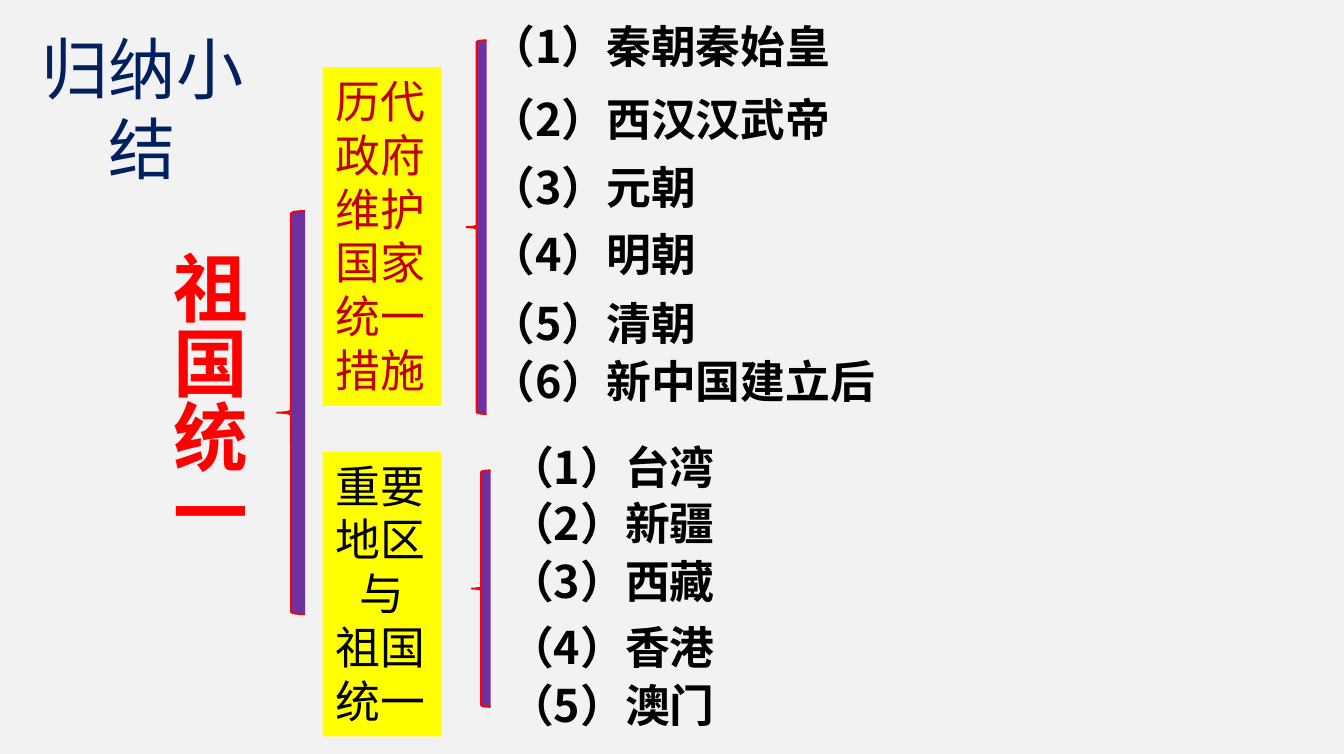
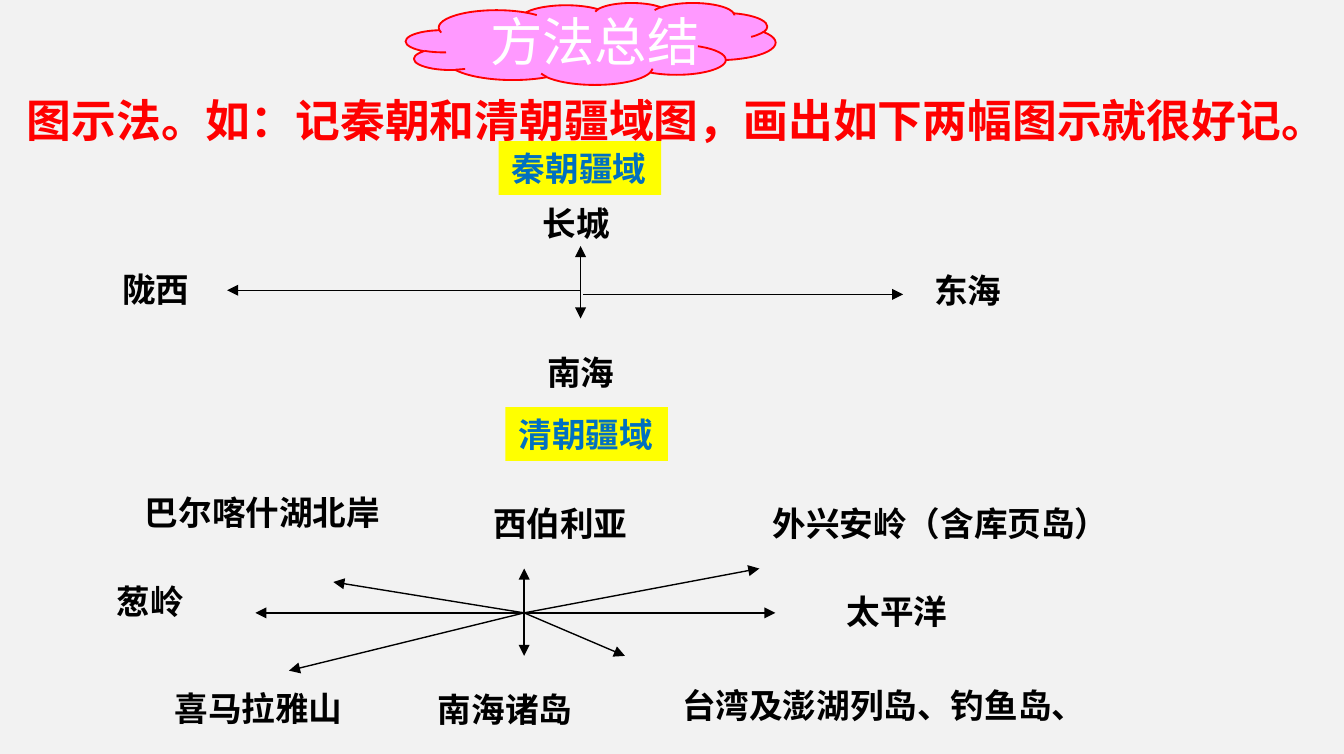
import pptx
import pptx.util
import pptx.dml.color
import pptx.enum.shapes
import pptx.enum.text
import lxml.etree
from pptx.util import Inches
from pptx.oxml.ns import qn

SHAPE = pptx.enum.shapes.MSO_SHAPE
ALIGN = pptx.enum.text.PP_ALIGN
FONT = "Noto Sans CJK SC"
TITLE_FONT = "Noto Sans CJK JP"
COLORS = {
    "background": "F2F2F2", "navy": "002060", "red": "FF0000", "dark_red": "C00000",
    "black": "000000", "white": "FFFFFF", "yellow": "FFFF00", "purple": "7030A0",
    "blue": "0070C0", "pink": "FF99FF",
}

TOPICS = [
    {"box": (2.4, 0.5, 0.88, 2.52), "color": "dark_red",
     "lines": ["历代", "政府", "维护", "国家", "统一", "措施"],
     "brace": (3.47, 0.3, 0.15, 2.78), "left": 3.55,
     "items": [("秦朝秦始皇", 0.09), ("西汉汉武帝", 0.63), ("元朝", 1.14),
               ("明朝", 1.64), ("清朝", 2.15), ("新中国建立后", 2.58)]},
    {"box": (2.4, 3.36, 0.88, 2.12), "color": "black",
     "lines": ["重要", "地区", "与", "祖国", "统一"],
     "brace": (3.51, 3.5, 0.14, 1.76), "left": 3.69,
     "items": [("台湾", 3.22), ("新疆", 3.64), ("西藏", 4.07),
               ("香港", 4.56), ("澳门", 4.99)]},
]
ROOT_BRACE = (2.06, 1.57, 0.21, 3)

METHOD = "图示法。如：记秦朝和清朝疆域图，画出如下两幅图示就很好记。"
TERRITORIES = [
    {"name": "秦朝疆域", "at": (3.71, 1.05), "inset": 0.05,
     "rays": [((4.34, 2.19), [(6.72, 2.19)]),
              ((4.32, 2.16), [(1.69, 2.16), (4.32, 1.83), (4.32, 2.37)])],
     "places": [("长城", 3.99, 1.46, 0.71), ("南海", 4.02, 2.57, 0.71),
                ("东海", 6.9, 1.96, 0.71), ("陇西", 0.86, 1.95, 0.71)]},
    {"name": "清朝疆域", "at": (3.76, 3.03), "inset": 0.1,
     "rays": [((3.9, 4.56), [(3.9, 4.23), (3.9, 4.88), (2.48, 4.33), (1.9, 4.56),
                             (2.15, 4.99), (5.77, 4.56), (5.65, 4.23), (4.65, 4.88)])],
     "places": [("巴尔喀什湖北岸", 0.98, 3.61, 1.97), ("西伯利亚", 3.57, 3.69, 1.21),
                ("外兴安岭（含库页岛）", 5.65, 3.69, 2.73), ("葱岭", 0.77, 4.27, 0.71),
                ("太平洋", 6.2, 4.35, 0.96), ("喜马拉雅山", 1.2, 5.07, 1.46),
                ("南海诸岛", 3.16, 5.08, 1.21), (" 台湾及澎湖列岛、钓鱼岛、", 4.92, 5.05, 3.3)]},
]


def rgb(name):
    return pptx.dml.color.RGBColor.from_string(COLORS[name])


def write(shape, text, size, color, bold=False, wrap=True, inset=0.1,
          font=FONT, align=ALIGN.LEFT):
    frame = shape.text_frame
    frame.text = text
    frame.word_wrap = wrap
    frame.auto_size = pptx.enum.text.MSO_AUTO_SIZE.NONE
    frame.vertical_anchor = pptx.enum.text.MSO_ANCHOR.TOP
    frame.margin_left = frame.margin_right = Inches(inset)
    frame.margin_top = frame.margin_bottom = Inches(0.05)
    for paragraph in frame.paragraphs:
        paragraph.alignment = align
        for run in paragraph.runs:
            run.font.size = pptx.util.Pt(size)
            run.font.bold = bold
            run.font.name = font
            run.font.color.rgb = rgb(color)
            east_asian = lxml.etree.Element(qn("a:ea"), typeface=font)
            run.font._element.find(qn("a:latin")).addnext(east_asian)
    return shape


def add_text(slide, box, text, size, color, **style):
    shape = slide.shapes.add_textbox(*map(Inches, box))
    return write(shape, text, size, color, **style)


def add_shape(slide, kind, box, fill, line=None):
    shape = slide.shapes.add_shape(kind, *map(Inches, box))
    shape.shadow.inherit = False
    shape.fill.solid()
    shape.fill.fore_color.rgb = rgb(fill)
    if line:
        shape.line.color.rgb = rgb(line)
        shape.line.width = pptx.util.Pt(1)
    else:
        shape.line.fill.background()
    return shape


def add_brace(slide, box):
    add_shape(slide, SHAPE.LEFT_BRACE, box, "purple", "red")


def add_arrow(slide, start, end):
    arrow = slide.shapes.add_connector(
        pptx.enum.shapes.MSO_CONNECTOR.STRAIGHT, *map(Inches, start + end))
    arrow.line.color.rgb = rgb("black")
    arrow.line.width = pptx.util.Pt(0.75)
    properties = arrow.element.spPr
    lxml.etree.SubElement(properties.find(qn("a:ln")), qn("a:tailEnd"), type="triangle")
    lxml.etree.SubElement(properties, qn("a:effectLst"))


def set_title(slide, box, text, size, color, **style):
    title = slide.shapes.title
    title.left, title.top, title.width, title.height = map(Inches, box)
    write(title, text, size, color, **style)
    title.element.getparent().append(title.element)


def add_slide(presentation):
    return presentation.slides.add_slide(presentation.slide_layouts[5])


def build_summary(presentation):
    slide = add_slide(presentation)
    set_title(slide, (0.06, 0.15, 2, 0.45), "归纳小结", 36, "navy",
              wrap=False, align=ALIGN.CENTER)
    root = add_text(slide, (1.06, 1.77, 0.87, 3.07), "祖国统一", 40, "red", bold=True)
    root.text_frame._txBody.bodyPr.set("vert", "eaVert")
    root.text_frame.paragraphs[0].space_before = pptx.util.Pt(20)
    add_brace(slide, ROOT_BRACE)
    for topic in TOPICS:
        label = add_shape(slide, SHAPE.RECTANGLE, topic["box"], "yellow")
        write(label, "\n".join(topic["lines"]), 24, topic["color"], wrap=False)
        for paragraph in label.text_frame.paragraphs:
            if len(paragraph.text) == 1:
                paragraph.alignment = ALIGN.CENTER
        for number, (item, top) in enumerate(topic["items"], 1):
            add_text(slide, (topic["left"], top, 5, 0.5), f"（{number}）{item}",
                     24, "black", bold=True)
        add_brace(slide, topic["brace"])


def build_method(presentation):
    slide = add_slide(presentation)
    add_text(slide, (0.1, 0.64, 9.65, 0.5), METHOD, 24, "red", bold=True)
    for territory in TERRITORIES:
        label = add_shape(slide, SHAPE.RECTANGLE, territory["at"] + (1.21, 0.4), "yellow")
        write(label, territory["name"], 18, "blue", bold=True, wrap=False)
        for start, ends in territory["rays"]:
            for end in ends:
                add_arrow(slide, start, end)
        for place, left, top, width in territory["places"]:
            add_text(slide, (left, top, width, 0.4), place, 18, "black",
                     bold=True, wrap=False, inset=territory["inset"])
    add_shape(slide, SHAPE.CLOUD, (3.02, 0.02, 2.75, 0.61), "pink", "red")
    set_title(slide, (3.6, 0.02, 1.85, 0.57), "方法总结", 28, "white",
              inset=0.05, font=TITLE_FONT)


def main():
    presentation = pptx.Presentation()
    presentation.slide_width = Inches(10)
    presentation.slide_height = Inches(5.61)
    background = presentation.slide_master.background.fill
    background.solid()
    background.fore_color.rgb = rgb("background")
    build_summary(presentation)
    build_method(presentation)
    presentation.save("out.pptx")


if __name__ == "__main__":
    main()
